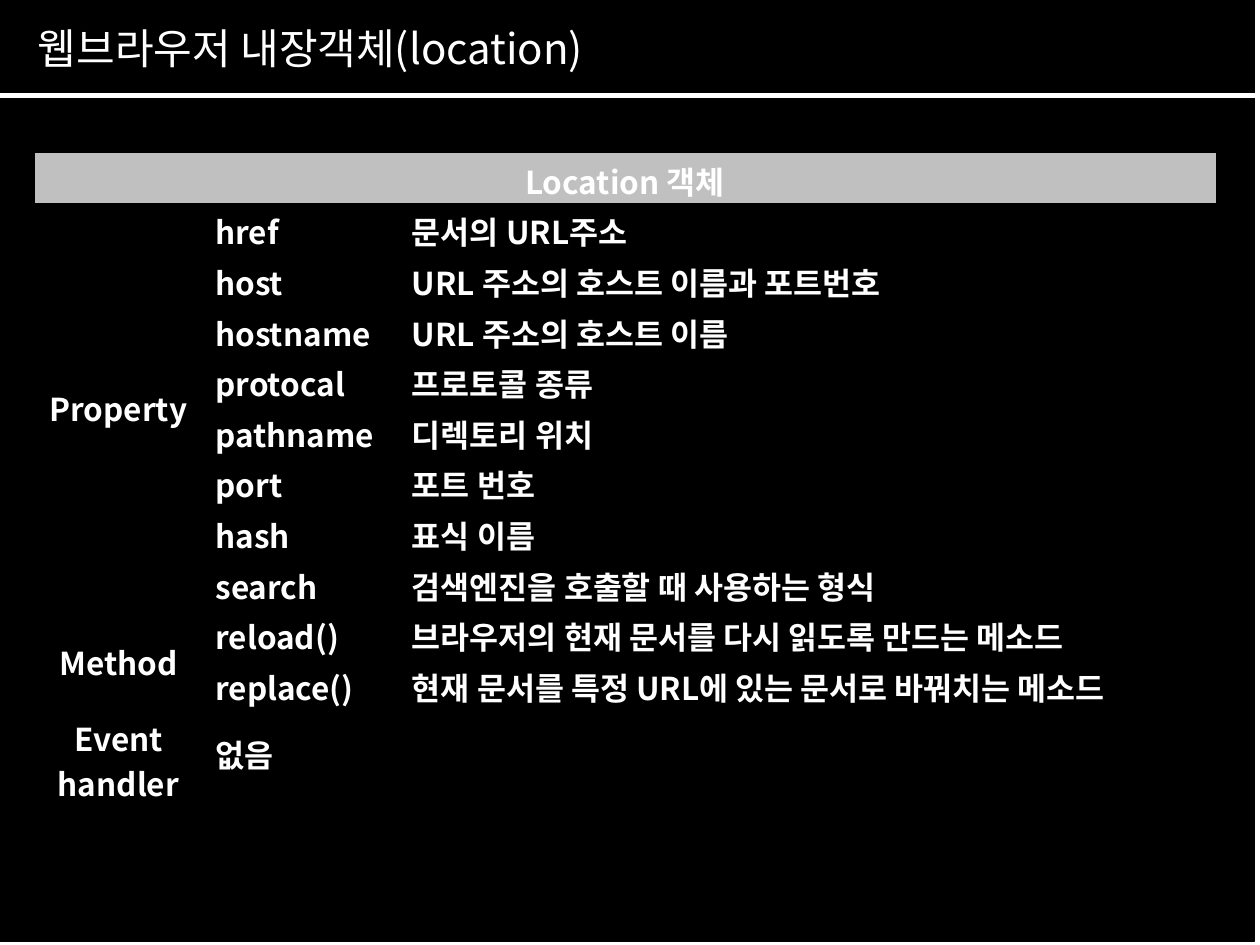
from lxml.etree import SubElement
from pptx import Presentation
from pptx.dml.color import RGBColor
from pptx.enum.shapes import MSO_CONNECTOR as Connector, MSO_SHAPE as Shape
from pptx.enum.text import MSO_ANCHOR as Anchor, PP_ALIGN as Align
from pptx.oxml.ns import qn
from pptx.util import Inches, Pt

FONT = "Noto Sans CJK KR"


def color(value):
    return RGBColor.from_string(value)


def style(para, size, bold, align):
    para.alignment = align
    font = para.font
    font.size, font.bold = Pt(size), bold
    font.color.rgb = color("FFFFFF")
    font.name = FONT
    SubElement(font._element, qn("a:ea"), typeface=FONT)


deck = Presentation()
deck.slide_width, deck.slide_height = Inches(10), Inches(7.5)
page = deck.slides.add_slide(deck.slide_layouts[5])
title = page.shapes.title

# Black backdrop, moved behind the title
backdrop = page.shapes.add_shape(Shape.RECTANGLE, Inches(-0.04), Inches(-0.03),
                                 Inches(10), Inches(7.5))
backdrop.shadow.inherit = False
backdrop.fill.solid()
backdrop.fill.fore_color.rgb = color("000000")
backdrop.line.color.rgb = color("000000")
backdrop.line.width = Pt(0.75)
title._element.addprevious(backdrop._element)

# Title and the rule below it
title.left, title.top = Inches(0.2), Inches(0.13)
title.width, title.height = Inches(7.64), Inches(0.5)
title.text_frame.text = "웹브라우저 내장객체(location)"
title.text_frame.vertical_anchor = Anchor.MIDDLE
style(title.text_frame.paragraphs[0], 24, False, Align.LEFT)

rule = page.shapes.add_connector(Connector.STRAIGHT, 0, Inches(0.76),
                                 Inches(10), Inches(0.76))
rule.line.color.rgb = color("FFFFFF")
rule.line.width = Pt(3)
SubElement(rule._element.spPr, qn("a:effectLst"))

# Table contents: group, member, description
rows = [
    ("Location 객체", "", ""),
    ("Property", "href", "문서의 URL주소"),
    ("", "host", "URL 주소의 호스트 이름과 포트번호"),
    ("", "hostname", "URL 주소의 호스트 이름"),
    ("", "protocal", "프로토콜 종류"),
    ("", "pathname", "디렉토리 위치"),
    ("", "port", "포트 번호"),
    ("", "hash", "표식 이름"),
    ("", "search", "검색엔진을 호출할 때 사용하는 형식"),
    ("Method", "reload()", "브라우저의 현재 문서를 다시 읽도록 만드는 메소드"),
    ("", "replace()", "현재 문서를 특정 URL에 있는 문서로 바꿔치는 메소드"),
    ("Event handler", "없음", ""),
]
table = page.shapes.add_table(len(rows), 3, Inches(0.27), Inches(1.21),
                              Inches(9.37), Inches(5.1)).table
table.first_row = table.horz_banding = False
for column, width in zip(table.columns, (1.34, 1.56, 6.48)):
    column.width = Inches(width)
for row in table.rows:
    row.height = Inches(0.4)
table.rows[len(rows) - 1].height = Inches(0.7)

# Cell text, borders and fills; small margins keep the rows low
for r, texts in enumerate(rows):
    for c, text in enumerate(texts):
        cell = table.cell(r, c)
        cell.vertical_anchor = Anchor.MIDDLE
        cell.margin_top, cell.margin_bottom = Inches(0.04), 0
        for side in ("lnL", "lnR", "lnT", "lnB"):
            border = SubElement(cell._tc.get_or_add_tcPr(), qn(f"a:{side}"), w=str(Pt(0.34)))
            SubElement(SubElement(border, qn("a:solidFill")), qn("a:srgbClr"), val="000000")
        if r == 0:
            cell.fill.solid()
            cell.fill.fore_color.rgb = color("C0C0C0")
        else:
            cell.fill.background()
        cell.text = text
        style(cell.text_frame.paragraphs[0], 18, True, Align.LEFT if c else Align.CENTER)
table.cell(len(rows) - 1, 1).margin_bottom = Inches(0.1)

# Merged header and group cells
for first, last in (((0, 0), (0, 2)), ((1, 0), (8, 0)), ((9, 0), (10, 0))):
    table.cell(*first).merge(table.cell(*last))

deck.save("out.pptx")
